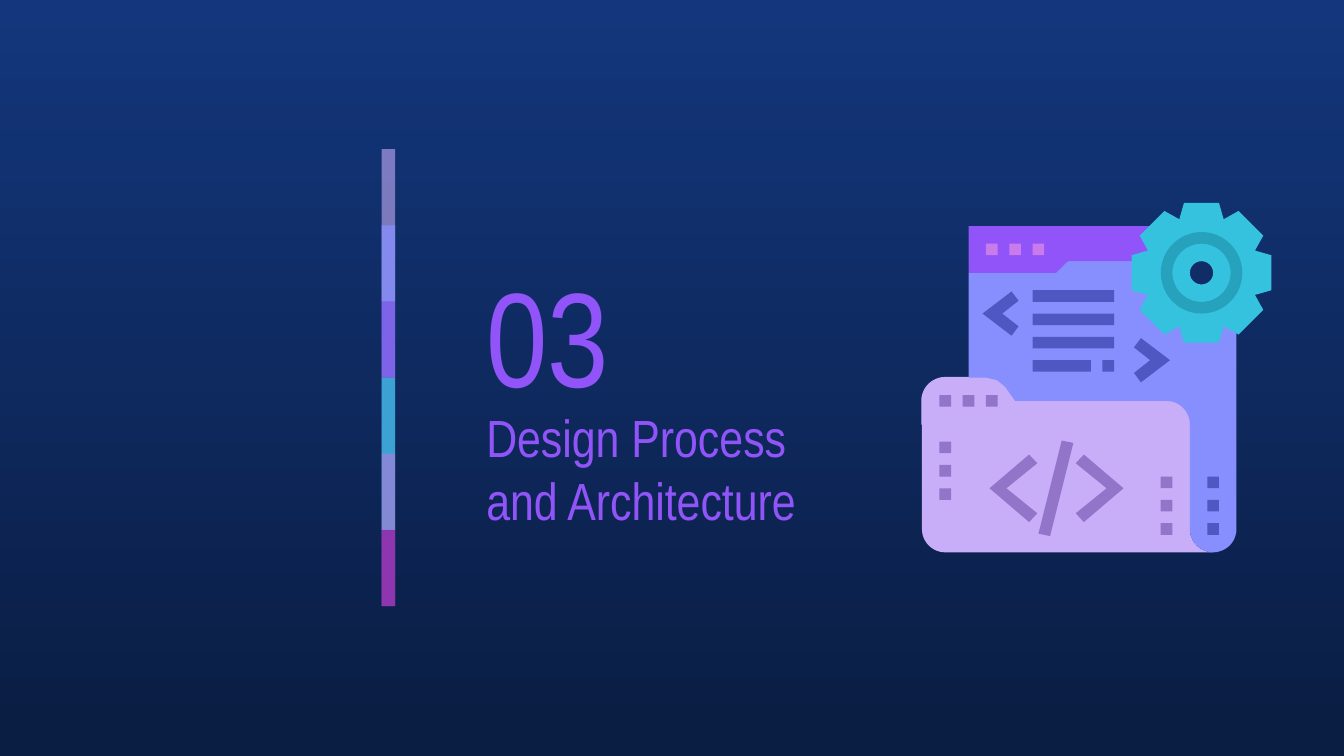
from math import cos, radians, sin

from lxml.etree import SubElement
from pptx import Presentation
from pptx.dml.color import RGBColor
from pptx.enum.shapes import MSO_SHAPE
from pptx.enum.text import MSO_ANCHOR
from pptx.oxml.ns import qn
from pptx.util import Inches, Pt

NAVY_TOP = RGBColor(0x13, 0x36, 0x7C)
NAVY_BOTTOM = RGBColor(0x0A, 0x1D, 0x42)
LILAC = RGBColor(0xC8, 0xAE, 0xF8)
PERIWINKLE = RGBColor(0x87, 0x8F, 0xFF)
VIOLET = RGBColor(0x91, 0x54, 0xF8)
CYAN = RGBColor(0x35, 0xC2, 0xDF)
PINK = RGBColor(0xCA, 0x7B, 0xEB)
MAGENTA = RGBColor(0x97, 0x2C, 0xB4)
TEAL = RGBColor(0x26, 0xA2, 0xBC)
MAUVE = RGBColor(0x92, 0x75, 0xC8)
INDIGO = RGBColor(0x4F, 0x57, 0xC3)

SLIDE_WIDTH = Inches(10)
SLIDE_HEIGHT = SLIDE_WIDTH * 9 // 16
UNIT = 2.6 / 30
ICON_LEFT, ICON_TOP = 6.86, 1.51
GEAR = (24, 6)
SHOULDER = [(5.5, 15), (6.45, 15.22), (7.15, 15.8), (8, 17)]
BARS = [(LILAC, 59), (PERIWINKLE, 74), (VIOLET, 53), (CYAN, 76), (PINK, 56), (MAGENTA, 74)]
BAR_STEP = 3.4 / len(BARS)


def grid_point(column, row):
    """Turn a cell position of the icon grid into slide lengths."""
    return Inches(ICON_LEFT + column * UNIT), Inches(ICON_TOP + row * UNIT)


def arc(column, row, radius, start, end, steps=12):
    """Return points along a circular arc, with angles in degrees."""
    angles = [radians(start + (end - start) * step / steps) for step in range(steps + 1)]
    return [(column + radius * cos(angle), row + radius * sin(angle)) for angle in angles]


def paint(shape, color):
    """Give a shape a flat fill with no line or shadow."""
    shape.shadow.inherit = False
    shape.fill.solid()
    shape.fill.fore_color.rgb = color
    shape.line.fill.background()
    return shape


def add_outline(shapes, color, *contours):
    """Draw one closed freeform from contours on the icon grid."""
    first, *others = [[grid_point(*point) for point in contour] for contour in contours]
    builder = shapes.build_freeform(*first[0])
    builder.add_line_segments(first[1:], close=True)
    for contour in others:
        builder.move_to(*contour[0])
        builder.add_line_segments(contour[1:], close=True)
    return paint(builder.convert_to_shape(), color)


def add_block(shapes, color, column, row, width=1):
    """Draw a rectangle one grid row high."""
    size = Inches(width * UNIT), Inches(UNIT)
    return paint(shapes.add_shape(MSO_SHAPE.RECTANGLE, *grid_point(column, row), *size), color)


def add_ring(shapes, color, outer, inner):
    """Draw a ring around the centre of the gear."""
    corner = grid_point(GEAR[0] - outer, GEAR[1] - outer)
    size = Inches(2 * outer * UNIT)
    ring = paint(shapes.add_shape(MSO_SHAPE.DONUT, *corner, size, size), color)
    ring.adjustments[0] = (outer - inner) / (2 * outer)


def add_chevron(shapes, color, tip, middle, profile, side):
    """Draw an angle bracket that opens to the given side of its tip."""
    near, high, far, low, notch = profile
    corners = [(0, 0), (near, -high), (far, -low), (notch, 0), (far, low), (near, high)]
    add_outline(shapes, color, [(tip + side * x, middle + y) for x, y in corners])


def gear_teeth():
    """Return the outline of the eight-toothed gear."""
    tooth = [(-1.9, -4.6), (-1.5, -6), (1.5, -6), (1.9, -4.6)]
    turns = [radians(45 * index) for index in range(8)]
    return [(GEAR[0] + x * cos(turn) - y * sin(turn), GEAR[1] + x * sin(turn) + y * cos(turn))
            for turn in turns for x, y in tooth]


def add_bars(slide):
    """Stack the translucent bars, each overlapping the next."""
    shapes = slide.shapes.add_group_shape().shapes
    for index, (color, opacity) in enumerate(BARS):
        height = BAR_STEP * min(2, len(BARS) - index)
        bar = paint(shapes.add_shape(
            MSO_SHAPE.RECTANGLE, Inches(2.84), Inches(1.11 + index * BAR_STEP),
            Inches(0.1), Inches(height)), color)
        color_node = bar.element.spPr.find(qn("a:solidFill")).find(qn("a:srgbClr"))
        SubElement(color_node, qn("a:alpha")).set("val", str(opacity * 1000))


def add_heading(slide, text, left, top, width, height, size):
    """Add a violet heading, centred vertically in its box."""
    frame = slide.shapes.add_textbox(*map(Inches, (left, top, width, height))).text_frame
    margins = {f"margin_{side}": Inches(0.1) for side in ("left", "right", "top", "bottom")}
    formats = {"word_wrap": True, "vertical_anchor": MSO_ANCHOR.MIDDLE, **margins}
    for name, value in formats.items():
        setattr(frame, name, value)
    run = frame.paragraphs[0].add_run()
    run.text = text
    for name, value in {"name": "Arial Narrow", "size": Pt(size)}.items():
        setattr(run.font, name, value)
    run.font.color.rgb = VIOLET


def add_folder(shapes):
    """Draw the folder, the page, its header and the gear."""
    add_outline(shapes, LILAC, [(0, 19), *arc(2, 28, 2, 180, 90),
                                *arc(25, 28, 2, 90, 180), (23, 19)])
    tab = add_outline(shapes, LILAC, [*arc(2, 17, 2, 270, 180), (0, 19),
                                      *arc(21, 19, 2, 0, -90), *reversed(SHOULDER)])
    tab.line.color.rgb = LILAC
    tab.line.width = Pt(0.75)
    add_outline(shapes, PERIWINKLE, [
        (12.5, 5), (11.5, 6), (4, 6), (4, 15), *SHOULDER, *arc(21, 19, 2, -90, 0),
        *arc(25, 28, 2, 180, 0, 24), (27, 10), (22, 10), (19, 7), (19, 5)])
    add_outline(shapes, VIOLET, [(4, 2), (4, 6), (11.5, 6), (12.5, 5),
                                 (19, 5), (20, 4), (19.5, 2)])
    add_outline(shapes, CYAN, gear_teeth(), arc(*GEAR, 3, 360, 0, 48))
    add_ring(shapes, CYAN, 3, 1)
    add_ring(shapes, TEAL, 3.5, 2.5)


def add_code(shapes):
    """Draw the dots, text lines and code brackets."""
    for color, column, row, across, down in [
            (PINK, 5.5, 3.5, 2, 0), (MAUVE, 1.5, 16.5, 2, 0), (MAUVE, 1.5, 20.5, 0, 2),
            (MAUVE, 20.5, 23.5, 0, 2), (INDIGO, 24.5, 23.5, 0, 2)]:
        for index in range(3):
            add_block(shapes, color, column + index * across, row + index * down)
    for index, width in enumerate((7, 7, 7, 5)):
        add_block(shapes, INDIGO, 9.5, 7.5 + 2 * index, width)
    add_block(shapes, INDIGO, 15.5, 13.5)
    small = (2.5, 1.9, 3.1, 1.1, 1.7)
    large = (3.4, 2.9, 4.1, 2.15, 1.45)
    for color, tip, middle, profile, side in [
            (INDIGO, 5.2, 9.5, small, 1), (INDIGO, 21.3, 13.5, small, -1),
            (MAUVE, 5.8, 24.5, large, 1), (MAUVE, 17.3, 24.5, large, -1)]:
        add_chevron(shapes, color, tip, middle, profile, side)
    add_outline(shapes, MAUVE, [(12, 20.4), (10, 28.4), (11, 28.6), (13, 20.6)])


def set_background(slide):
    """Fill the slide with a top-to-bottom navy gradient."""
    fill = slide.background.fill
    fill.gradient()
    fill.gradient_angle = 270
    for stop, color in zip(fill.gradient_stops, (NAVY_TOP, NAVY_BOTTOM)):
        stop.color.rgb = color


def main():
    """Build and save the section slide."""
    presentation = Presentation()
    presentation.slide_width, presentation.slide_height = SLIDE_WIDTH, SLIDE_HEIGHT
    slide = presentation.slides.add_slide(presentation.slide_layouts[6])
    set_background(slide)
    add_bars(slide)
    add_heading(slide, "03", 3.52, 1.81, 1.75, 1.35, 72)
    add_heading(slide, "Design Process and Architecture", 3.52, 3.15, 2.87, 0.67, 28)
    icon = slide.shapes.add_group_shape().shapes
    add_folder(icon)
    add_code(icon)
    presentation.save("out.pptx")


if __name__ == "__main__":
    main()
